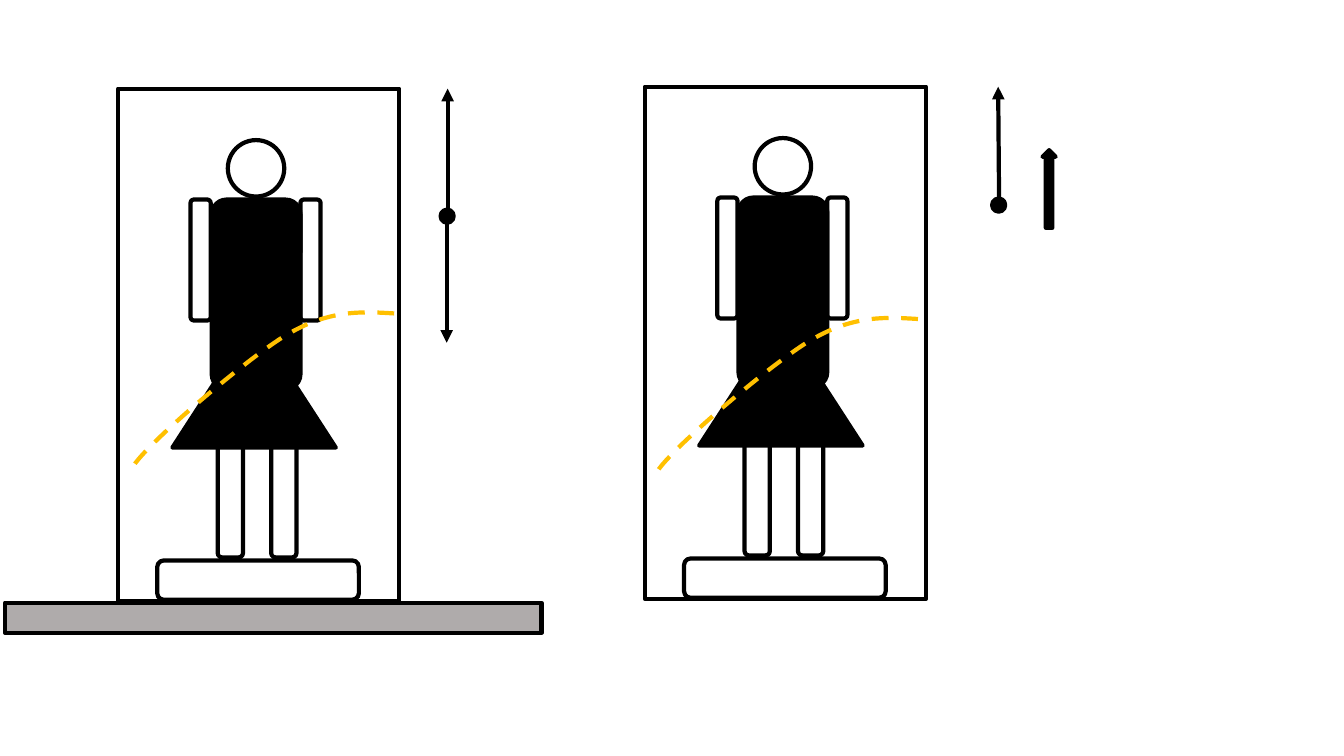
from lxml.etree import SubElement
from pptx import Presentation
from pptx.dml.color import RGBColor
from pptx.enum.dml import MSO_LINE
from pptx.enum.shapes import MSO_CONNECTOR, MSO_SHAPE
from pptx.oxml.ns import qn
from pptx.util import Inches, Pt

COLORS = {"ink": "000000", "floor": "AFABAB", "curve": "FFC000"}
LINE_WIDTH = Pt(3)

# Preset, left, top, width, height, fill
FIGURE = [
    (MSO_SHAPE.RECTANGLE, 1.17, 0.88, 2.79, 5.08, None),            # frame
    (MSO_SHAPE.OVAL, 2.26, 1.39, 0.56, 0.56, None),                 # head
    (MSO_SHAPE.ROUNDED_RECTANGLE, 2.10, 1.98, 0.88, 1.88, "ink"),   # torso
    (MSO_SHAPE.ROUNDED_RECTANGLE, 2.98, 1.98, 0.20, 1.20, None),    # arms
    (MSO_SHAPE.ROUNDED_RECTANGLE, 1.89, 1.98, 0.20, 1.20, None),
    (MSO_SHAPE.ROUNDED_RECTANGLE, 2.16, 3.86, 0.25, 1.67, None),    # legs
    (MSO_SHAPE.ROUNDED_RECTANGLE, 2.69, 3.86, 0.25, 1.67, None),
    (MSO_SHAPE.ISOSCELES_TRIANGLE, 1.71, 3.19, 1.62, 1.25, "ink"),  # skirt
    (MSO_SHAPE.ROUNDED_RECTANGLE, 1.56, 5.56, 2.00, 0.39, None),    # base
]
FIGURE_OFFSETS = [(0, 0), (5.225, -0.02)]

FORCE_POINTS = [(4.37, 2.08), (9.84, 1.97)]
FORCE_POINT_SIZE = 0.13
FORCES = [
    ((4.43, 2.15), (4.43, 3.40)),
    ((4.44, 2.11), (4.44, 0.88)),
    ((9.91, 2.09), (9.90, 0.86)),
]
MOTION_ARROW = (MSO_SHAPE.RIGHT_ARROW, 10.02, 1.81, 0.77, 0.13, "ink")
FLOOR = (MSO_SHAPE.RECTANGLE, 0.05, 5.98, 5.32, 0.30, "floor")

# Two cubic Bezier pieces that share their middle point
CURVE = [
    [(3.91, 3.11), (3.59, 3.09), (3.26, 3.07), (2.83, 3.33)],
    [(2.83, 3.33), (2.40, 3.59), (1.26, 4.57), (1.31, 4.67)],
]
CURVE_OFFSETS = [(5.195, 0.055), (0, 0)]
CURVE_STEPS = 24


def color(name):
    return RGBColor.from_string(COLORS[name])


def style_line(line, name="ink"):
    line.color.rgb = color(name)
    line.width = LINE_WIDTH


def add_part(shapes, part, offset=(0, 0)):
    preset, left, top, width, height, fill = part
    shape = shapes.add_shape(preset, Inches(left + offset[0]), Inches(top + offset[1]),
                             Inches(width), Inches(height))
    shape.shadow.inherit = False
    style_line(shape.line)
    if fill:
        shape.fill.solid()
        shape.fill.fore_color.rgb = color(fill)
    else:
        shape.fill.background()
    return shape


def add_force(shapes, start, end):
    force = shapes.add_connector(MSO_CONNECTOR.STRAIGHT,
                                 *(Inches(value) for value in start + end))
    style_line(force.line)
    SubElement(force.line._get_or_add_ln(), qn("a:tailEnd"), type="triangle")
    SubElement(force._element.spPr, qn("a:effectLst"))


def bezier_point(controls, t):
    weights = ((1 - t) ** 3, 3 * t * (1 - t) ** 2, 3 * t ** 2 * (1 - t), t ** 3)
    return tuple(sum(weight * value for weight, value in zip(weights, axis))
                 for axis in zip(*controls))


def add_curve(shapes, offset):
    points = [CURVE[0][0]] + [bezier_point(piece, step / CURVE_STEPS)
                              for piece in CURVE for step in range(1, CURVE_STEPS + 1)]
    points = [(Inches(x + offset[0]), Inches(y + offset[1])) for x, y in points]
    builder = shapes.build_freeform(*points[0])
    builder.add_line_segments(points[1:], close=False)
    curve = builder.convert_to_shape()
    curve.shadow.inherit = False
    curve.fill.background()
    style_line(curve.line, "curve")
    curve.line.dash_style = MSO_LINE.DASH


def main():
    deck = Presentation()
    deck.slide_width, deck.slide_height = Inches(13.33), Inches(7.5)
    slide = deck.slides.add_slide(deck.slide_layouts[6])
    shapes = slide.shapes.add_group_shape().shapes

    for offset in FIGURE_OFFSETS:
        for part in FIGURE:
            add_part(shapes, part, offset)
    for left, top in FORCE_POINTS:
        add_part(shapes, (MSO_SHAPE.OVAL, left, top, FORCE_POINT_SIZE, FORCE_POINT_SIZE, "ink"))
    for start, end in FORCES:
        add_force(shapes, start, end)
    add_part(shapes, MOTION_ARROW).rotation = 270
    add_part(shapes, FLOOR)
    for offset in CURVE_OFFSETS:
        add_curve(shapes, offset)

    deck.save("out.pptx")


if __name__ == "__main__":
    main()
